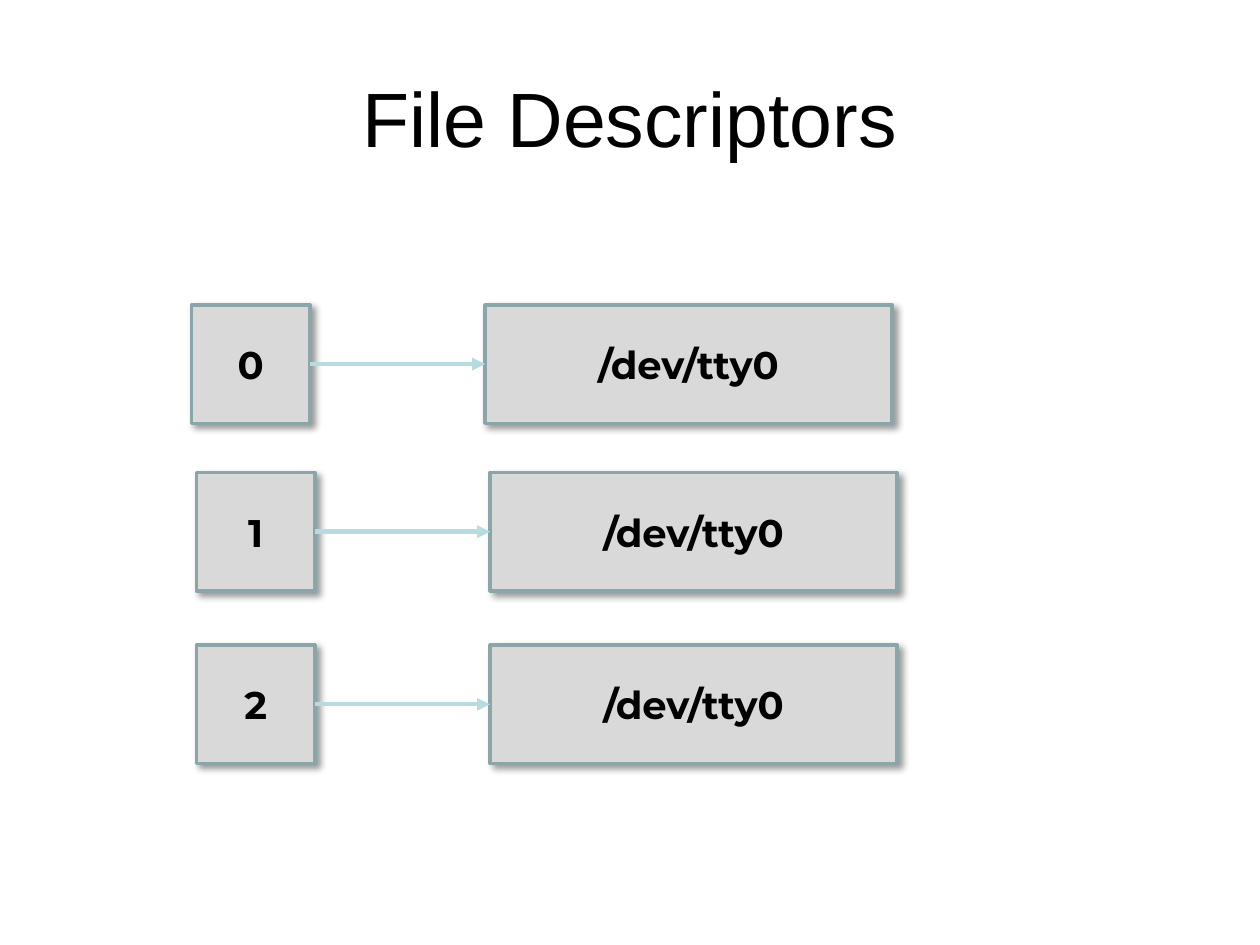
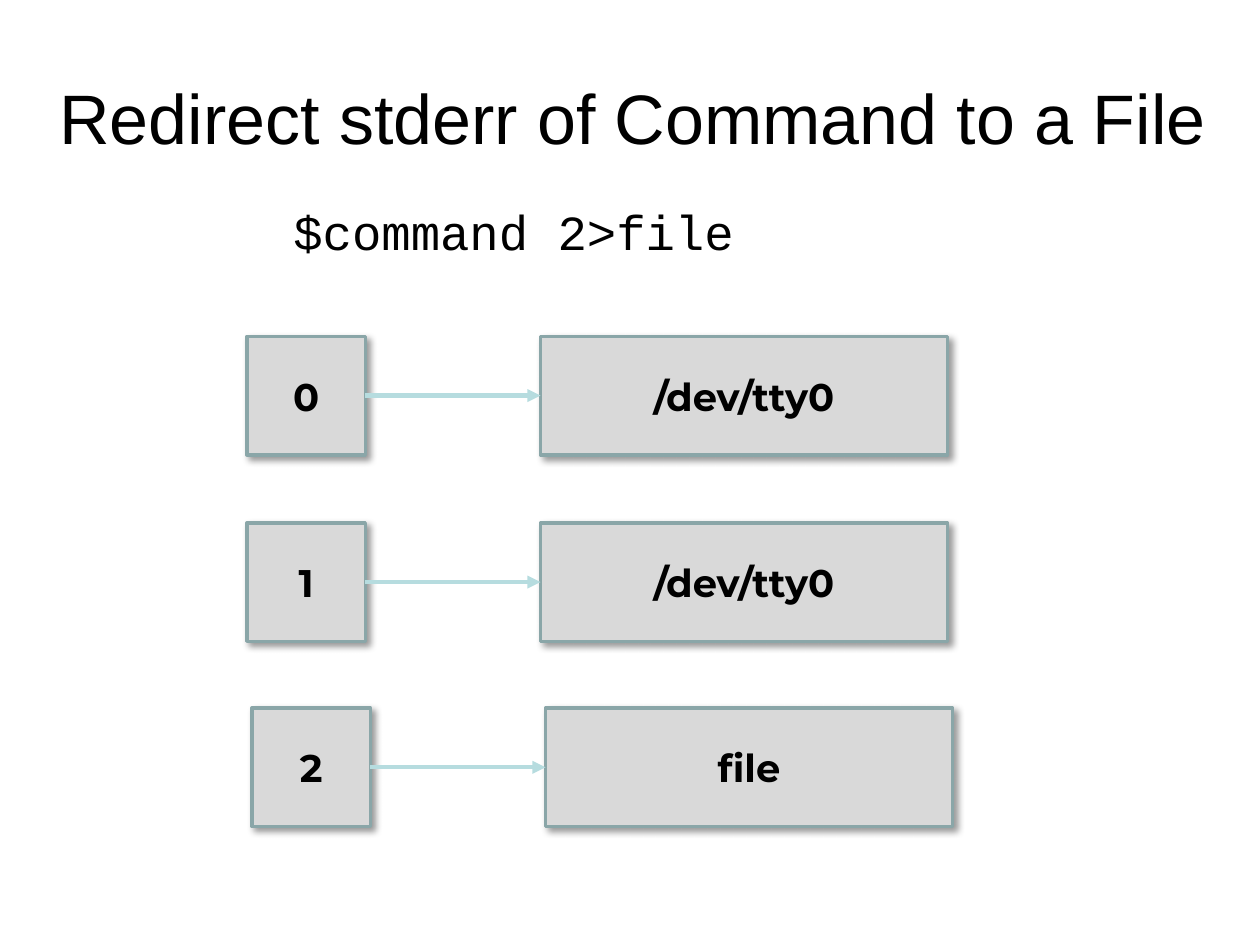
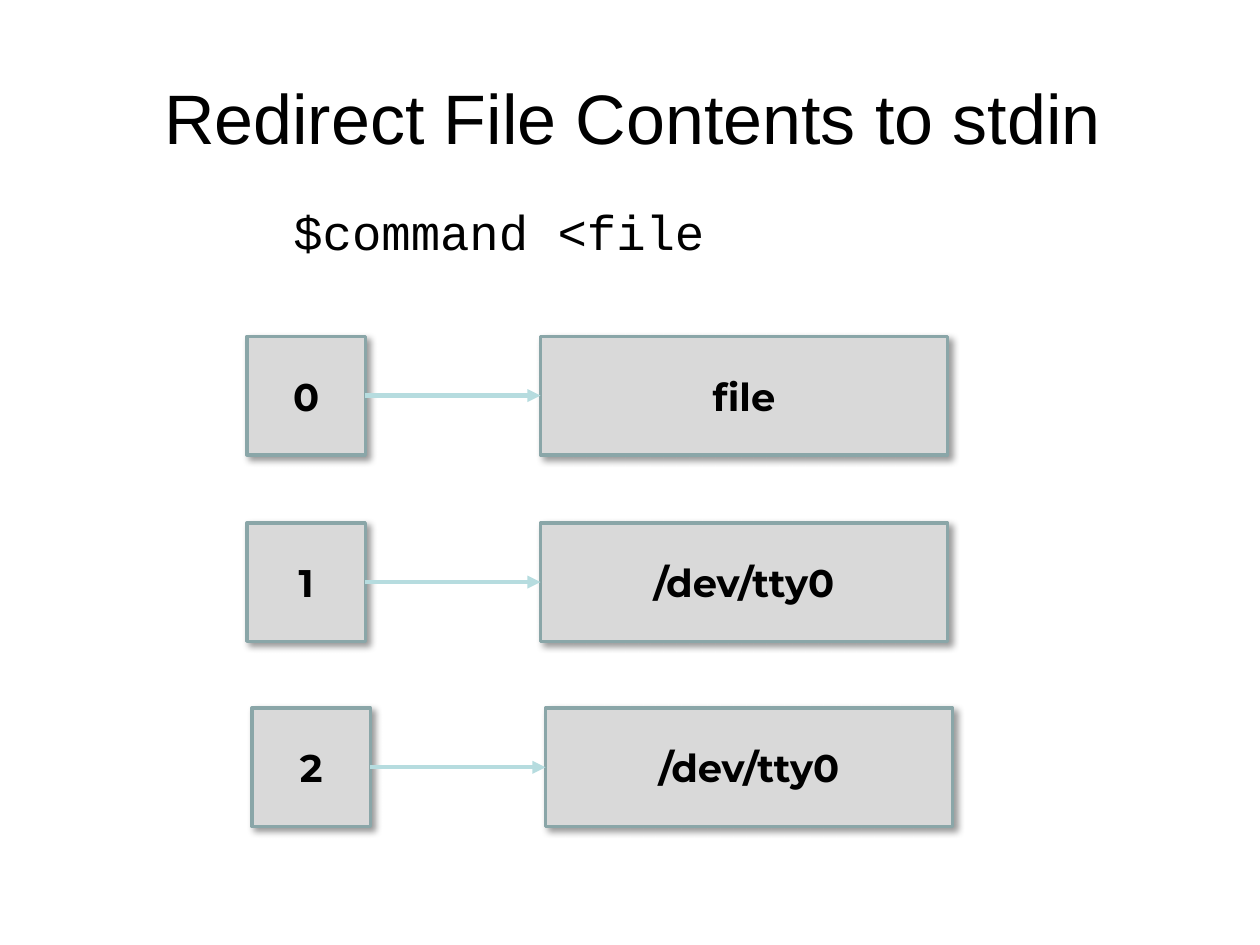
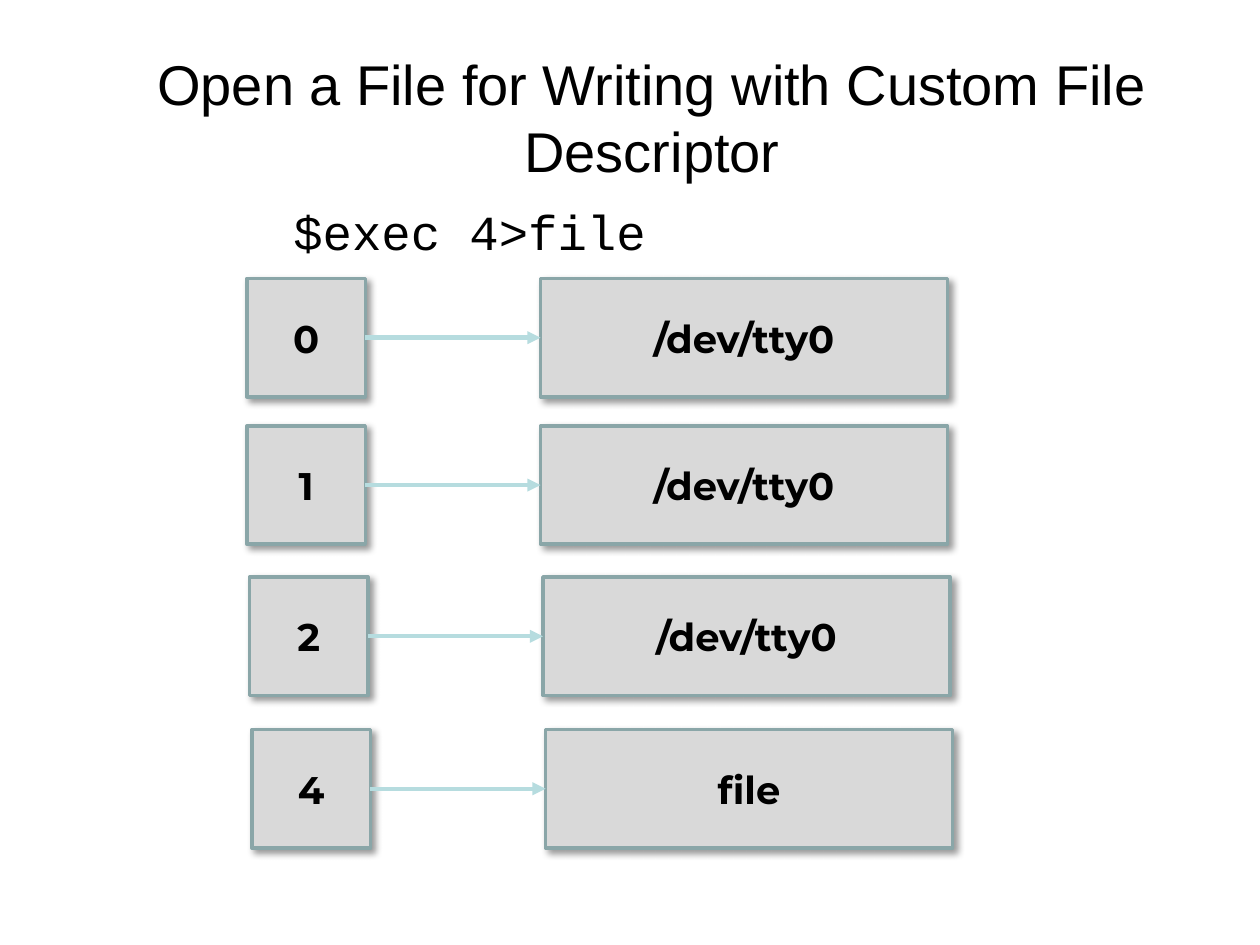
"""Build four slides on shell file descriptors and redirection."""
from lxml import etree
from pptx import Presentation
from pptx import util as u
from pptx.dml.color import RGBColor
from pptx.enum import shapes, text
from pptx.oxml import parse_xml
from pptx.oxml.ns import nsdecls, qn

BLACK = RGBColor(0x00, 0x00, 0x00)
GREY = RGBColor(0xD9, 0xD9, 0xD9)
EDGE = RGBColor(0x8A, 0xA6, 0xA8)
AQUA = RGBColor(0xB6, 0xDC, 0xDF)

SIDE = 0.94
WIDE = 3.23
STEP = 2.33
TTY = "/dev/tty0"
SHADE = (
    f'<a:outerShdw {nsdecls("a")} blurRad="50800" dist="38100" dir="2700000" '
    'algn="tl" rotWithShape="0"><a:srgbClr val="000000">'
    '<a:alpha val="40000"/></a:srgbClr></a:outerShdw>'
)


def write(shape, words, font, size, bold=False, align=text.PP_ALIGN.CENTER,
          anchor=text.MSO_ANCHOR.MIDDLE):
    frame = shape.text_frame
    frame.word_wrap = True
    frame.vertical_anchor = anchor
    para = frame.paragraphs[0]
    para.alignment = align
    run = para.add_run()
    run.text = words
    run.font.name = font
    run.font.size = u.Pt(size)
    run.font.bold = bold
    run.font.color.rgb = BLACK


def box(group, left, top, width, words):
    shape = group.shapes.add_shape(
        shapes.MSO_SHAPE.RECTANGLE, u.Inches(left), u.Inches(top),
        u.Inches(width), u.Inches(SIDE))
    shape.fill.solid()
    shape.fill.fore_color.rgb = GREY
    shape.line.color.rgb = EDGE
    shape.line.width = u.Pt(2)
    shape.shadow.inherit = False
    shape._element.spPr.find(qn("a:effectLst")).append(parse_xml(SHADE))
    write(shape, words, "Montserrat", 22, True)
    return shape


PAGES = [
    ("File Descriptors", 44, 0.5, 9, None,
     [(1.52, 2.42, "0", TTY), (1.56, 3.75, "1", TTY), (1.56, 5.12, "2", TTY)]),
    ("Redirect stderr of Command to a File", 40, 0.23, 9.58, "$command 2>file",
     [(1.96, 2.67, "0", TTY), (1.96, 4.15, "1", TTY), (2, 5.62, "2", "file")]),
    ("Redirect File Contents to stdin", 40, 0.23, 9.58, "$command <file",
     [(1.96, 2.67, "0", "file"), (1.96, 4.15, "1", TTY), (2, 5.62, "2", TTY)]),
    ("Open a File for Writing with Custom File Descriptor", 32, 0.35, 9.65,
     "$exec 4>file",
     [(1.96, 2.21, "0", TTY), (1.96, 3.38, "1", TTY), (1.98, 4.58, "2", TTY),
      (2, 5.79, "4", "file")]),
]

deck = Presentation()
deck.slide_width = u.Inches(10)
deck.slide_height = u.Inches(7.5)

for title, size, left, width, code, rows in PAGES:
    slide = deck.slides.add_slide(deck.slide_layouts[6])
    head = slide.shapes.add_textbox(
        u.Inches(left), u.Inches(0.3), u.Inches(width), u.Inches(1.25))
    write(head, title, "Arial", size)

    for x, y, num, goal in rows:
        group = slide.shapes.add_group_shape()
        start = box(group, x, y, SIDE, num)
        end = box(group, x + STEP, y, WIDE, goal)
        mid = u.Inches(y + SIDE / 2)
        arrow = group.shapes.add_connector(
            shapes.MSO_CONNECTOR.STRAIGHT, start.left + start.width, mid,
            end.left, mid)
        arrow.line.color.rgb = AQUA
        arrow.line.width = u.Pt(2.5)
        tip = etree.SubElement(arrow.line._get_or_add_ln(), qn("a:tailEnd"))
        tip.set("type", "triangle")
        etree.SubElement(arrow._element.spPr, qn("a:effectLst"))

    if code:
        shell = slide.shapes.add_textbox(
            u.Inches(2.23), u.Inches(1.55), u.Inches(5.65), u.Inches(0.57))
        write(shell, code, "Courier New", 28, align=text.PP_ALIGN.LEFT,
              anchor=text.MSO_ANCHOR.TOP)
        shell.text_frame.auto_size = text.MSO_AUTO_SIZE.SHAPE_TO_FIT_TEXT

deck.save("out.pptx")
